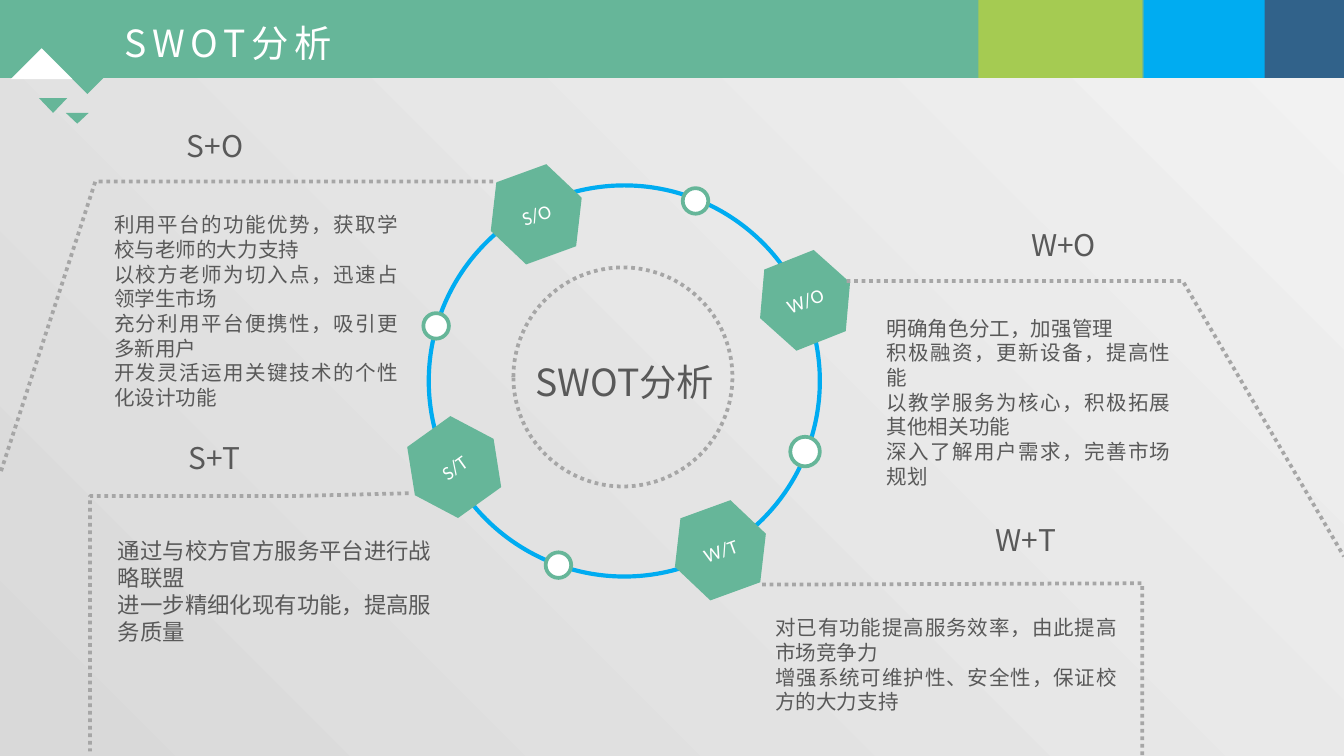
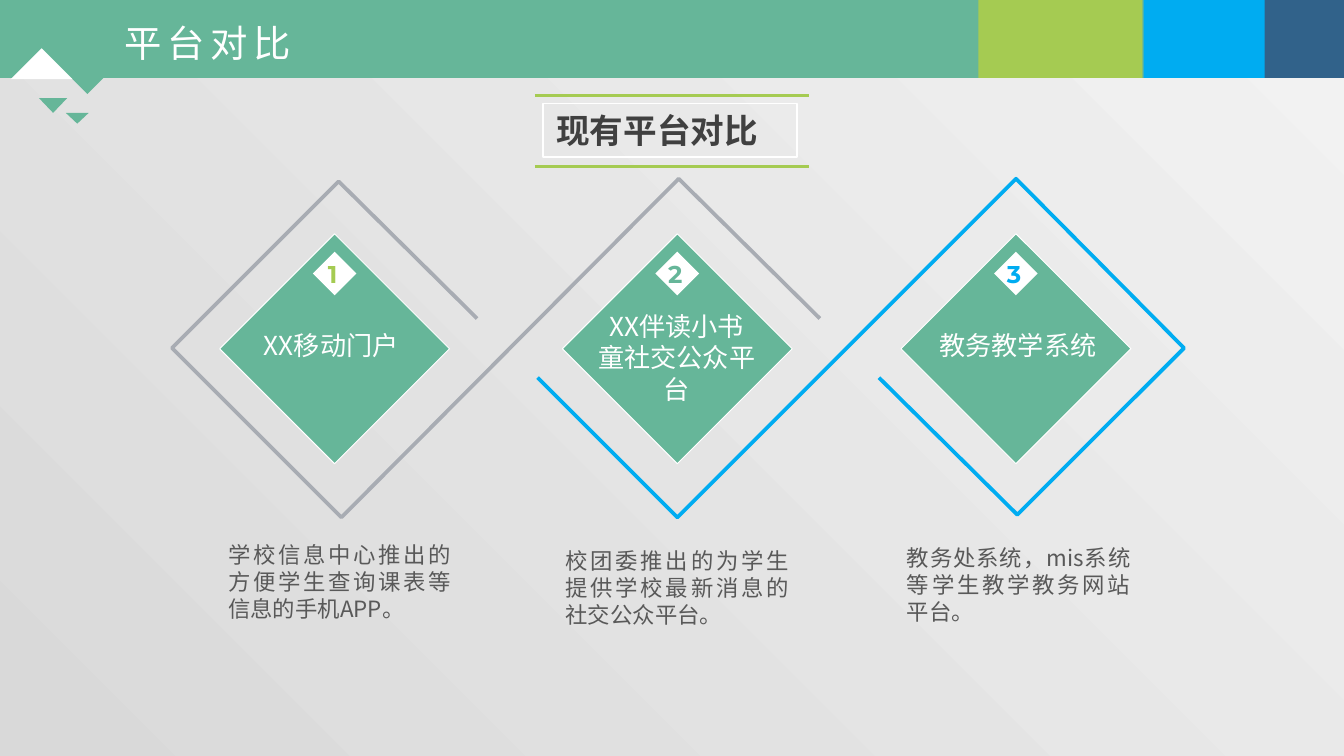
"""Builds two slides: a SWOT strategy wheel and a comparison of platforms."""
from lxml import etree
from pptx import Presentation
from pptx.dml.color import RGBColor
from pptx.enum.dml import MSO_LINE
from pptx.enum.shapes import MSO_CONNECTOR, MSO_SHAPE
from pptx.enum.text import MSO_ANCHOR, MSO_AUTO_SIZE, PP_ALIGN
from pptx.oxml.ns import qn
from pptx.util import Inches, Pt

RECTANGLE, OVAL, HEXAGON = MSO_SHAPE.RECTANGLE, MSO_SHAPE.OVAL, MSO_SHAPE.HEXAGON
LEFT, CENTER, JUSTIFY = PP_ALIGN.LEFT, PP_ALIGN.CENTER, PP_ALIGN.JUSTIFY
TOP, MIDDLE = MSO_ANCHOR.TOP, MSO_ANCHOR.MIDDLE
FIT_SHAPE = MSO_AUTO_SIZE.SHAPE_TO_FIT_TEXT
STRAIGHT = MSO_CONNECTOR.STRAIGHT
DOTTED = MSO_LINE.ROUND_DOT

GREEN = RGBColor(0x66, 0xB6, 0x99)
LIME = RGBColor(0xA5, 0xCB, 0x52)
BLUE = RGBColor(0x00, 0xAC, 0xF1)
NAVY = RGBColor(0x31, 0x62, 0x8A)
WHITE = RGBColor(0xFF, 0xFF, 0xFF)
INK = RGBColor(0x59, 0x59, 0x59)
DARK = RGBColor(0x40, 0x40, 0x40)
DOT_GRAY = RGBColor(0xA6, 0xA6, 0xA6)
STEEL = RGBColor(0xA8, 0xAC, 0xB3)
SHADE = RGBColor(0xD9, 0xD9, 0xD9)
LIGHT = RGBColor(0xF2, 0xF2, 0xF2)

SANS, LATIN, DIGITS = "Noto Sans CJK SC", "Calibri", "Montserrat"
WIDTH, HEIGHT = Inches(10), Inches(5.625)
COLUMNS = 100
LINE_FACTOR = 1.2


class Deck:
    """Holds the style and the current slide, on square cells of 100 columns."""

    def __init__(self):
        self.presentation = Presentation()
        self.presentation.slide_width = WIDTH
        self.presentation.slide_height = HEIGHT
        self.slide = None

    def cells(self, *counts):
        return [round(count * WIDTH / COLUMNS) for count in counts]

    def start(self, title, title_width):
        blank = self.presentation.slide_layouts[6]
        self.slide = self.presentation.slides.add_slide(blank)
        fill = self.slide.background.fill
        fill.gradient()
        fill.gradient_angle = 45
        for stop, color in zip(fill.gradient_stops, (SHADE, LIGHT)):
            stop.color.rgb = color
        for left, width, color in ((0, 88.4, GREEN), (93.8, 6.2, NAVY),
                                   (85.1, 9, BLUE), (72.8, 12.2, LIME)):
            self.shape(RECTANGLE, (left, 0, width, 5.8), color)
        for left, right, base, tip, color in ((4.8, 8.2, 5.3, 7, GREEN),
                                              (4.9, 6.6, 8.4, 9.2, GREEN),
                                              (0.8, 5.4, 5.9, 3.6, WHITE),
                                              (2.9, 5, 7.3, 8.4, GREEN)):
            corners = [(left, base), (right, base), ((left + right) / 2, tip)]
            self.outline(corners, fill=color)
        self.text((8.3, 1, title_width, 4.4), [title], 20, WHITE, LEFT, spacing=3)

    def paint(self, shape, fill, line, weight, dash):
        shape.shadow.inherit = False
        if fill is None:
            shape.fill.background()
        else:
            shape.fill.solid()
            shape.fill.fore_color.rgb = fill
        if line is None:
            shape.line.fill.background()
        else:
            shape.line.color.rgb = line
            shape.line.width = Pt(weight)
            if dash is not None:
                shape.line.dash_style = dash
        return shape

    def shape(self, kind, box, fill=None, line=None, weight=2, dash=None, turn=0):
        shape = self.slide.shapes.add_shape(kind, *self.cells(*box))
        shape.rotation = turn
        return self.paint(shape, fill, line, weight, dash)

    def outline(self, points, fill=None, line=None, dash=None):
        start, *others = [self.cells(*point) for point in points]
        builder = self.slide.shapes.build_freeform(*start)
        builder.add_line_segments(others, close=fill is not None)
        return self.paint(builder.convert_to_shape(), fill, line, 2, dash)

    def rule(self, left, right, top, color):
        connector = self.slide.shapes.add_connector(
            STRAIGHT, *self.cells(left, top, right, top))
        connector.line.color.rgb = color
        connector.line.width = Pt(1.5)
        etree.SubElement(connector._element.spPr, qn("a:effectLst"))

    def fill_text(self, shape, lines, size, color, align, font=SANS, bold=False,
                  wrap=True, anchor=TOP, spacing=0):
        frame = shape.text_frame
        frame.word_wrap = wrap
        frame.vertical_anchor = anchor
        frame.text = "\n".join(lines)
        for paragraph in frame.paragraphs:
            paragraph.alignment = align
            paragraph.line_spacing = Pt(size * LINE_FACTOR)
            paragraph.font.size = Pt(size)
            paragraph.font.bold = bold
            paragraph.font.color.rgb = color
            paragraph.font.name = font
            properties = paragraph._p.pPr.find(qn("a:defRPr"))
            etree.SubElement(properties, qn("a:ea")).set("typeface", SANS)
            if spacing:
                properties.set("spc", str(spacing * 100))
        return frame

    def text(self, box, lines, size, color, align, **style):
        shape = self.slide.shapes.add_textbox(*self.cells(*box))
        frame = self.fill_text(shape, lines, size, color, align, **style)
        frame.auto_size = FIT_SHAPE
        return frame


def build_swot(deck):
    """Draws the strategy wheel with its four dotted call-outs."""
    deck.start("SWOT分析", 19.7)
    deck.shape(OVAL, (31.9, 13.8, 29.1, 29.1), line=BLUE, weight=2.25)
    for left, top, size in ((58.8, 32.5, 2.2), (50.8, 14, 1.9),
                            (40.6, 41.1, 1.9), (31.5, 23.3, 1.9)):
        deck.shape(OVAL, (left, top, size, size), WHITE, GREEN)
    for label, left, top, turn in (("W/T", 50, 37.7, 340), ("S/O", 36.3, 12.7, 340),
                                   ("W/O", 56.3, 19.1, 338.4),
                                   ("S/T", 30.2, 31.5, 324.4)):
        hexagon = deck.shape(HEXAGON, (left, top, 7.2, 6.5), GREEN, turn=turn)
        deck.fill_text(hexagon, [label], 10.5, WHITE, CENTER, font=LATIN,
                       wrap=False, anchor=MIDDLE)
    strategies = (
        ("S+T", (12.5, 32.2, 6.9, 3.7), (7.8, 39.5, 25.3, 9.1), 12,
         [(30.4, 36.7), (22.3, 36.9), (6.7, 36.9), (6.7, 55.9)],
         ["通过与校方官方服务平台进行战略联盟",
          "进一步精细化现有功能，提高服务质量"]),
        ("S+O", (12.3, 9, 7.4, 3.7), (7.5, 15.3, 23.1, 15.8), 11,
         [(36.7, 13.5), (7.1, 13.5), (0, 35.3)],
         ["利用平台的功能优势，获取学校与老师的大力支持",
          "以校方老师为切入点，迅速占领学生市场",
          "充分利用平台便携性，吸引更多新用户",
          "开发灵活运用关键技术的个性化设计功能"]),
        ("W+O", (75.1, 16.4, 8.1, 3.7), (65, 23, 23.1, 14), 11,
         [(63, 20.9), (88, 20.9), (100, 41.4)],
         ["明确角色分工，加强管理",
          "积极融资，更新设备，提高性能",
          "以教学服务为核心，积极拓展其他相关功能",
          "深入了解用户需求，完善市场规划"]),
        ("W+T", (72.5, 38.3, 7.7, 3.7), (56.7, 45.3, 27.4, 8.4), 11,
         [(56.7, 43.5), (85, 43.4), (85, 56.2)],
         ["对已有功能提高服务效率，由此提高市场竞争力",
          "增强系统可维护性、安全性，保证校方的大力支持"]),
    )
    for heading, heading_box, body_box, size, border, lines in strategies:
        deck.outline(border, line=DOT_GRAY, dash=DOTTED)
        deck.text(body_box, lines, size, INK, JUSTIFY)
        deck.text(heading_box, [heading], 16, INK, CENTER, wrap=False)
    deck.shape(OVAL, (38.2, 19.9, 16.3, 16.3), line=DOT_GRAY, dash=DOTTED)
    deck.text((37.7, 26.2, 17.6, 4.4), ["SWOT分析"], 20, INK, CENTER, wrap=False)


def build_platforms(deck):
    """Draws three numbered diamonds framed by two zigzag ribbons."""
    deck.start("平台对比", 17.3)
    for top in (12.4, 7.1):
        deck.rule(39.8, 60.2, top, LIME)
    heading = deck.shape(RECTANGLE, (40.4, 7.7, 18.9, 4), line=WHITE, weight=0.75)
    deck.fill_text(heading, ["现有平台对比"], 18, DARK, JUSTIFY, font=LATIN, bold=True)
    deck.outline([(61, 23.7), (50.5, 13.3), (25.4, 38.5), (12.8, 25.9),
                  (25.2, 13.5), (35.5, 23.7)], line=STEEL)
    deck.outline([(40, 28.1), (50.4, 38.5), (75.6, 13.3), (88.1, 25.9),
                  (75.7, 38.3), (65.4, 28.1)], line=BLUE)
    platforms = (
        (24.9, LIME, "XX移动门户", (17.7, 24, 13.9, 3.4), (16, 39.8),
         "学校信息中心推出的方便学生查询课表等信息的手机APP。"),
        (50.4, GREEN, "XX伴读小书童社交公众平台", (43.4, 22.6, 13.9, 8.1), (41.1, 40.2),
         "校团委推出的为学生提供学校最新消息的社交公众平台。"),
        (75.6, BLUE, "教务教学系统", (68.8, 24, 13.9, 3.4), (66.5, 40),
         "教务处系统，mis系统等学生教学教务网站平台。"),
    )
    for number, (center, color, name, name_box, corner, note) in enumerate(platforms, 1):
        deck.shape(RECTANGLE, (center - 6.05, 19.9, 12.1, 12.1), GREEN, WHITE, 0.5,
                   turn=315)
        deck.shape(RECTANGLE, (center - 1.15, 19.2, 2.3, 2.3), WHITE, turn=315)
        frame = deck.text((center - 0.8, 19.2, 1.3, 2.3), [str(number)], 13, color,
                          CENTER, font=DIGITS, bold=True, wrap=False, anchor=MIDDLE)
        frame.margin_left = frame.margin_right = 0
        frame.margin_top = frame.margin_bottom = 0
        deck.text(name_box, [name], 14, WHITE, CENTER)
        deck.text((*corner, 18.6, 7.1), [note], 12, INK, JUSTIFY)


def main():
    """Builds both slides and saves the file."""
    deck = Deck()
    build_swot(deck)
    build_platforms(deck)
    deck.presentation.save("out.pptx")


if __name__ == "__main__":
    main()
